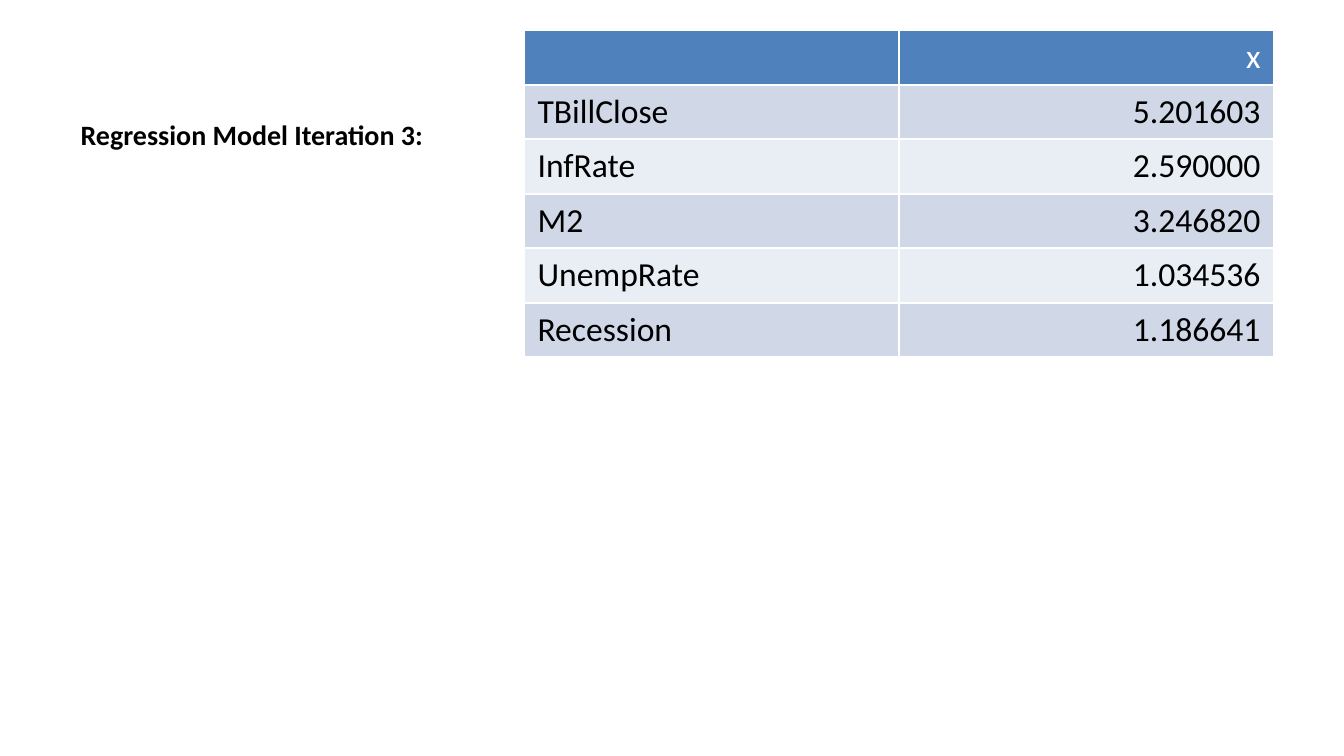
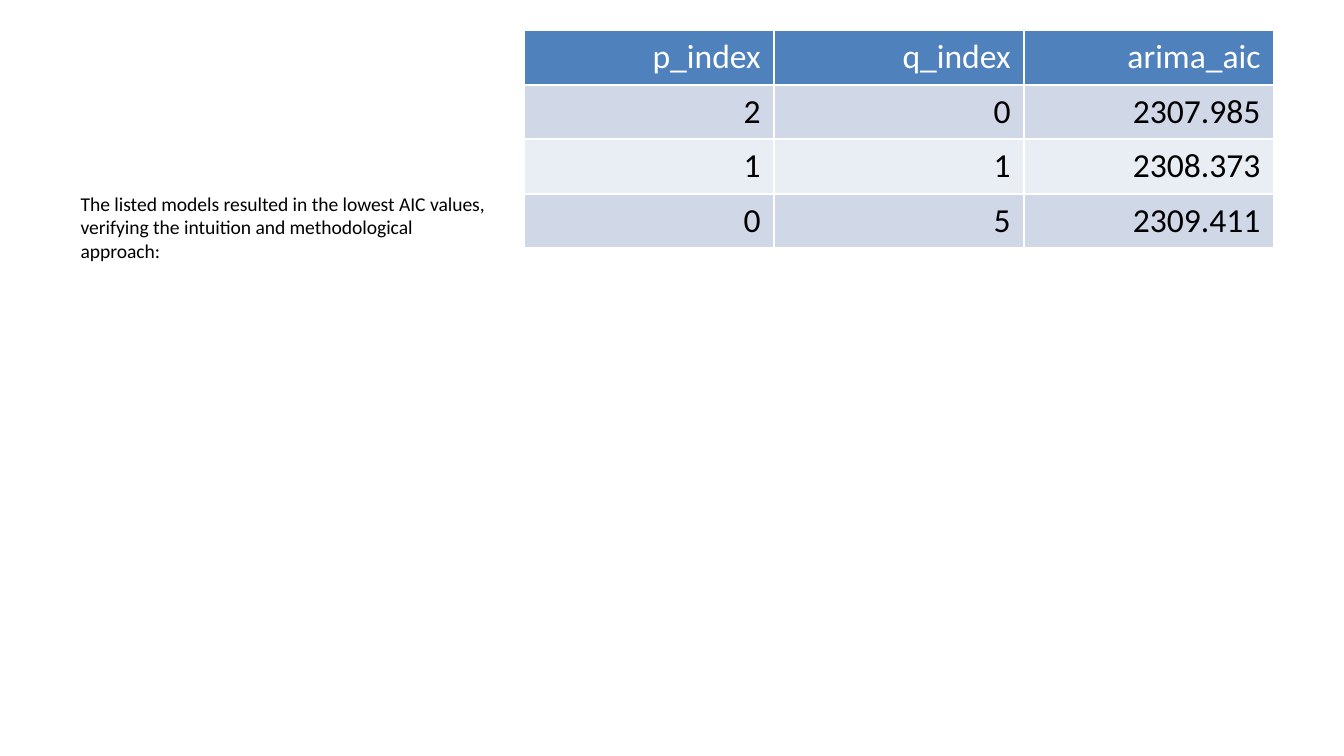
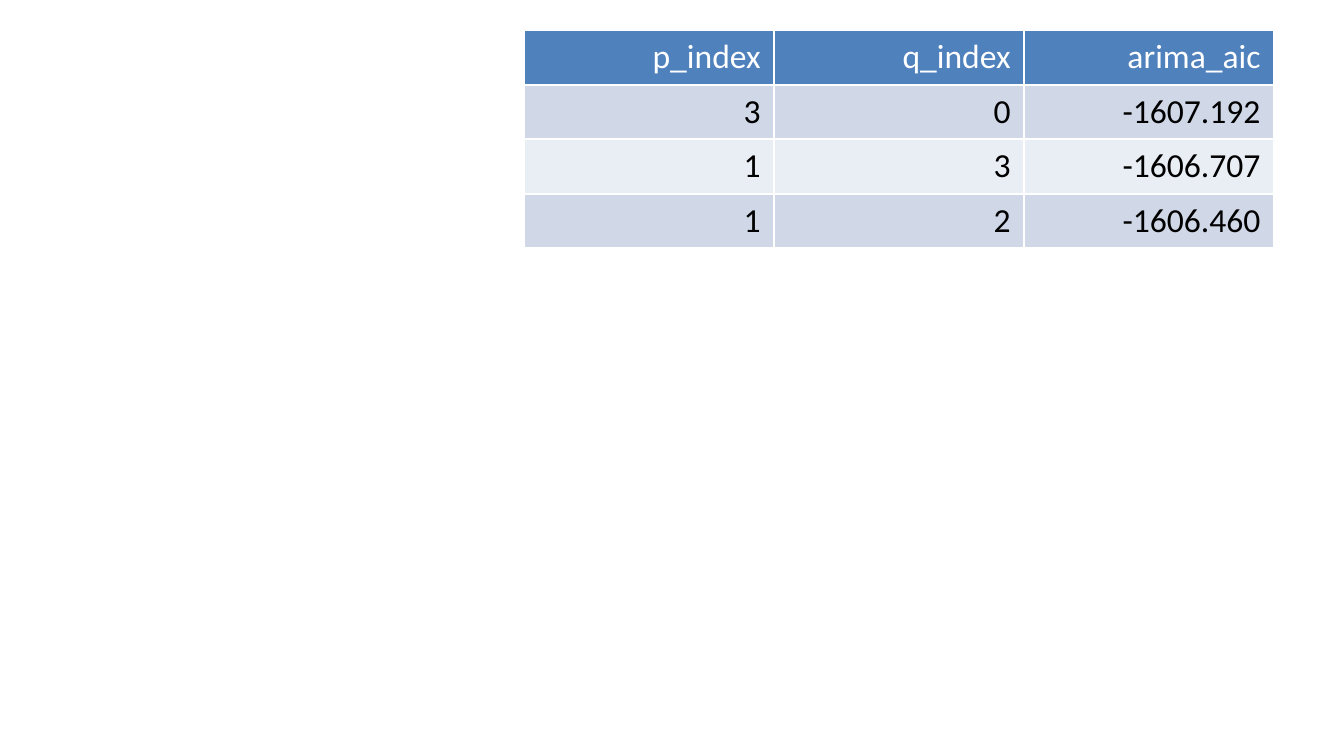
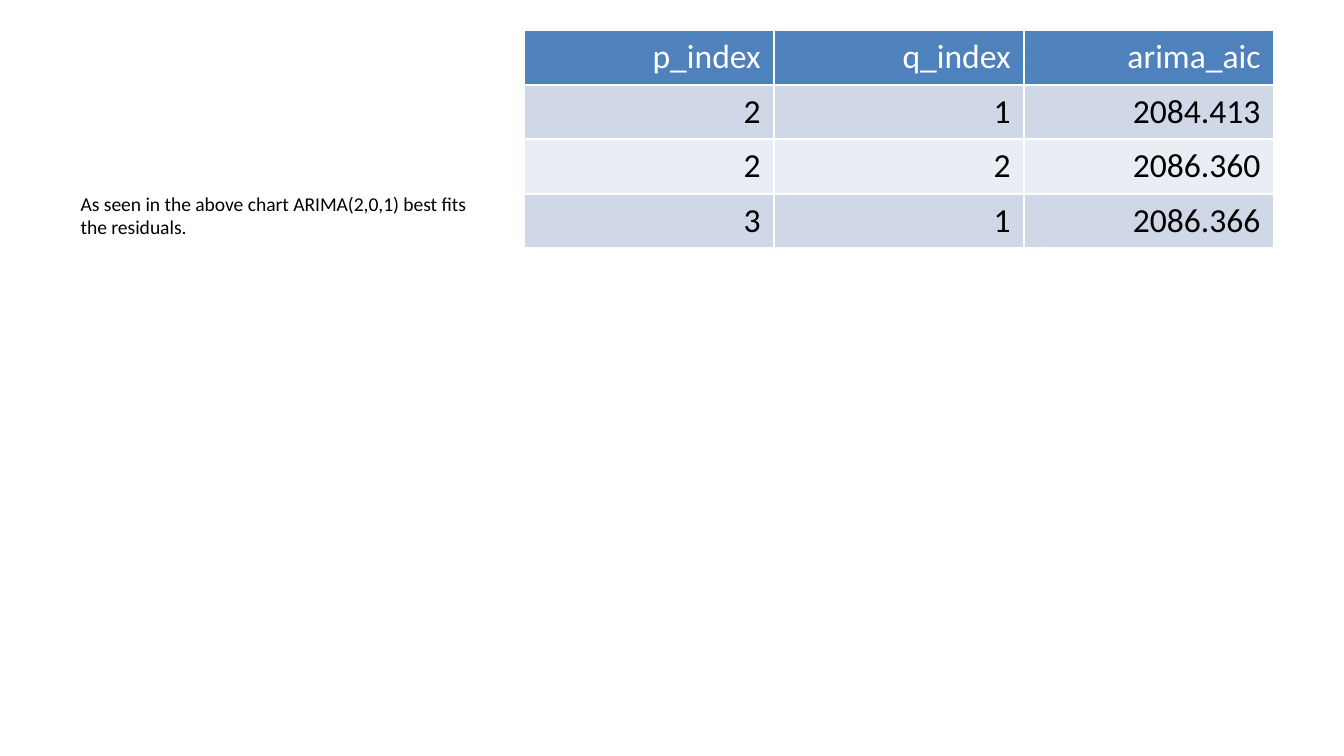
import pptx
import pptx.util
import pptx.dml.color
import pptx.enum.text

ARIMA_HEADER = ("p_index", "q_index", "arima_aic")

SLIDES = [
    {
        "title": "Regression Model Iteration 3:",
        "rows": [
            ("", "x"),
            ("TBillClose", "5.201603"),
            ("InfRate", "2.590000"),
            ("M2", "3.246820"),
            ("UnempRate", "1.034536"),
            ("Recession", "1.186641"),
        ],
        "label_columns": 1,
    },
    {
        "note": "The listed models resulted in the lowest AIC values, "
                "verifying the intuition and methodological approach:",
        "rows": [
            ARIMA_HEADER,
            ("2", "0", "2307.985"),
            ("1", "1", "2308.373"),
            ("0", "5", "2309.411"),
        ],
    },
    {
        "rows": [
            ARIMA_HEADER,
            ("3", "0", "-1607.192"),
            ("1", "3", "-1606.707"),
            ("1", "2", "-1606.460"),
        ],
    },
    {
        "note": "As seen in the above chart ARIMA(2,0,1) best fits the residuals.",
        "rows": [
            ARIMA_HEADER,
            ("2", "1", "2084.413"),
            ("2", "2", "2086.360"),
            ("3", "1", "2086.366"),
        ],
    },
]

COLOURS = {
    "header": "4F81BD",
    "odd_row": "D0D8E8",
    "even_row": "E9EDF4",
    "text": "000000",
    "header_text": "FFFFFF",
}
FONT = "Calibri"
WIDTH = pptx.util.Inches(10)
HEIGHT = WIDTH * 9 // 16
NOTE_INSET = pptx.util.Inches(0.25)
CAPTION_LAYOUT = 7

AREA_PERCENTS = {
    "title": (5, 4, 32.9, 16.9),
    "note": (5, 20.9, 32.9, 68.4),
    "table": (39, 4, 55.8, 85.1),
}
PLACEHOLDERS = {"title": 0, "note": 2}
TEXT_FORMATS = {
    "title": {"size": pptx.util.Pt(15), "bold": True},
    "note": {"size": pptx.util.Pt(10.5), "bold": False},
    "table": {"size": pptx.util.Pt(18), "bold": False},
}


def colour(name):
    return pptx.dml.color.RGBColor.from_string(COLOURS[name])


def area(name):
    left, top, width, height = AREA_PERCENTS[name]
    return {
        "left": round(left * WIDTH / 100),
        "top": round(top * HEIGHT / 100),
        "width": round(width * WIDTH / 100),
        "height": round(height * HEIGHT / 100),
    }


def set_attributes(target, values):
    for name, value in values.items():
        setattr(target, name, value)


def write(text_frame, text, style, text_colour="text"):
    paragraph = text_frame.paragraphs[0]
    run = paragraph.add_run()
    run.text = text
    set_attributes(run.font, {"name": FONT, **TEXT_FORMATS[style]})
    run.font.color.rgb = colour(text_colour)
    return paragraph


def fill_placeholders(slide, content):
    wanted = {PLACEHOLDERS[name]: name for name in PLACEHOLDERS if name in content}
    for shape in list(slide.placeholders):
        name = wanted.get(shape.placeholder_format.idx)
        if name is None:
            shape.element.getparent().remove(shape.element)
            continue
        set_attributes(shape, area(name))
        write(shape.text_frame, content[name], name)
        if name == "note":
            shape.text_frame.margin_top = NOTE_INSET


def add_value_table(slide, rows, label_columns=0):
    place = area("table")
    frame = slide.shapes.add_table(len(rows), len(rows[0]), **place)
    table = frame.table
    for table_row in table.rows:
        table_row.height = 0
    frame.height = place["height"]
    for row_number, row in enumerate(rows):
        is_header = row_number == 0
        fill = "header" if is_header else "odd_row" if row_number % 2 else "even_row"
        for column_number, text in enumerate(row):
            cell = table.cell(row_number, column_number)
            cell.fill.solid()
            cell.fill.fore_color.rgb = colour(fill)
            if text:
                paragraph = write(cell.text_frame, text, "table",
                                  "header_text" if is_header else "text")
                if column_number >= label_columns:
                    paragraph.alignment = pptx.enum.text.PP_ALIGN.RIGHT


presentation = pptx.Presentation()
set_attributes(presentation, {"slide_width": WIDTH, "slide_height": HEIGHT})
for content in SLIDES:
    slide = presentation.slides.add_slide(presentation.slide_layouts[CAPTION_LAYOUT])
    fill_placeholders(slide, content)
    add_value_table(slide, content["rows"], content.get("label_columns", 0))
presentation.save("out.pptx")
